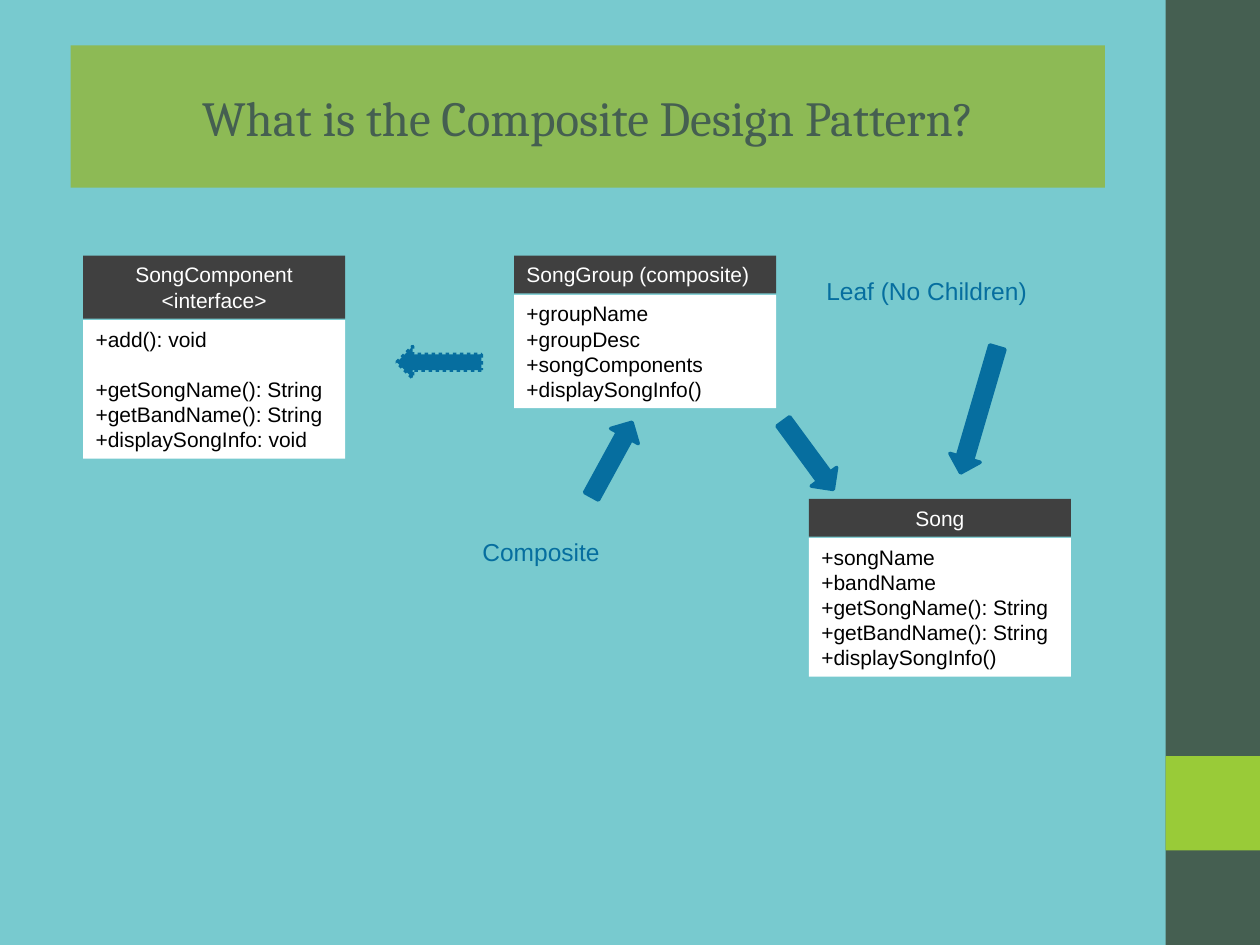
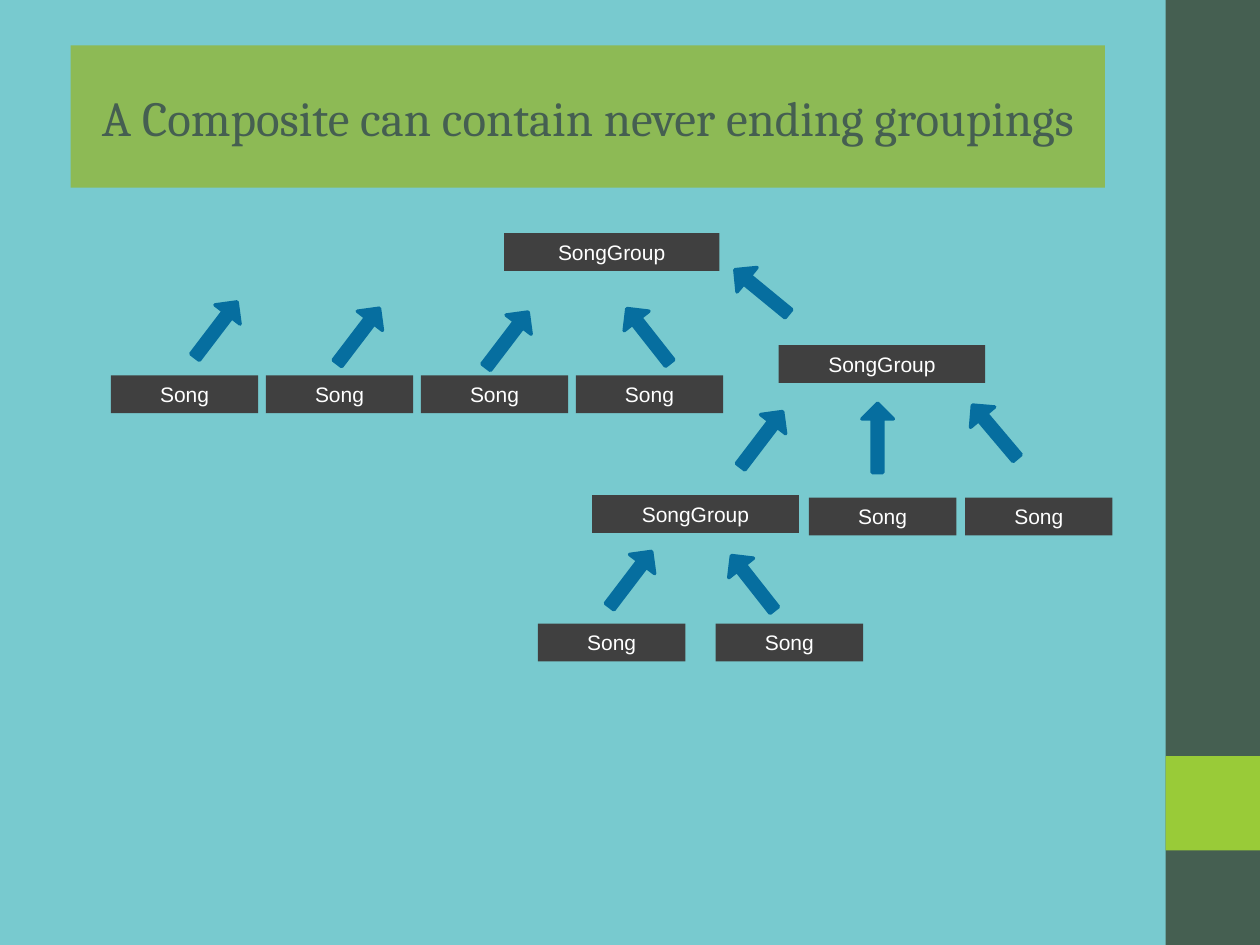
from pptx import Presentation
from pptx.dml.color import RGBColor
from pptx.enum.dml import MSO_LINE
from pptx.enum.shapes import MSO_SHAPE
from pptx.enum.text import MSO_ANCHOR, MSO_AUTO_SIZE, PP_ALIGN
from pptx.util import Inches, Pt

SKY, PINE, LIME, MOSS = "78CACF", "455F51", "99CB38", "8DBA55"
DARK, WHITE, BLACK, BLUE = "404040", "FFFFFF", "000000", "066E9F"
HEAD = 0.3
LINE = 0.2

CLASSES = [
    dict(at=(0.66, 2.03), head=["SongComponent", "<interface>"], gap=1,
         body=["+add(): void", "+getSongName(): String",
               "+getBandName(): String", "+displaySongInfo: void"]),
    dict(at=(4.08, 2.03), head=["SongGroup (composite)"], align=PP_ALIGN.LEFT,
         body=["+groupName", "+groupDesc", "+songComponents",
               "+displaySongInfo()"]),
    dict(at=(6.42, 3.96), head=["Song"],
         body=["+songName", "+bandName", "+getSongName(): String",
               "+getBandName(): String", "+displaySongInfo()"]),
]
LABELS = [("Leaf (No Children)", 6.46, 2.14), ("Composite", 3.73, 4.21)]
LINKS = [(6.08, 3.49, 0.67, 53.7), (7.25, 3.13, 1.04, 106.3),
         (4.52, 3.52, 0.67, 298.7)]

GROUPS = [(4, 1.85, 1.71), (6.18, 2.74, 1.64), (4.7, 3.93, 1.64)]
SONGS = [(0.88, 2.98, 1.23, 4), (6.42, 3.95, 1.24, 2), (4.27, 4.95, 1.41, 2)]
RISE = 307.3
FALL = 231.8
CLIMBS = [(1.44, 2.49, RISE), (2.57, 2.54, RISE), (3.75, 2.57, RISE),
          (4.87, 2.54, FALL), (5.77, 2.19, 219.4), (5.77, 3.36, RISE),
          (6.69, 3.35, 270), (7.62, 3.3, 229.8), (4.73, 4.47, RISE),
          (5.7, 4.5, FALL)]


def tint(code):
    return RGBColor.from_string(code)


def write(shape, lines, size=12, font="Arial", color=WHITE,
          align=PP_ALIGN.CENTER, anchor=MSO_ANCHOR.TOP, lead=1.2, gap=0):
    frame = shape.text_frame
    frame.word_wrap = True
    frame.auto_size = MSO_AUTO_SIZE.NONE
    frame.vertical_anchor = anchor
    for i, line in enumerate(lines):
        par = frame.paragraphs[0] if i == 0 else frame.add_paragraph()
        par.text = line
        par.alignment = align
        if lead:
            par.line_spacing = Pt(size * lead)
        if i + 1 == gap:
            par.space_after = Pt(size * lead)
        par.font.size = Pt(size)
        par.font.name = font
        par.font.color.rgb = tint(color)


def place(slide, kind, x, y, wide, high, fill):
    shape = slide.shapes.add_shape(
        kind, Inches(x), Inches(y), Inches(wide), Inches(high))
    shape.shadow.inherit = False
    shape.fill.solid()
    shape.fill.fore_color.rgb = tint(fill)
    shape.line.fill.background()
    return shape


def block(slide, x, y, wide, high, fill, lines=(), **form):
    shape = place(slide, MSO_SHAPE.RECTANGLE, x, y, wide, high, fill)
    write(shape, lines, **form)


def arrow(slide, x, y, wide, turn, shaft=0.5, dash=None):
    shape = place(slide, MSO_SHAPE.RIGHT_ARROW, x, y, wide, 0.25, BLUE)
    shape.adjustments[0] = shaft
    shape.rotation = turn
    shape.line.color.rgb = tint(BLUE)
    shape.line.width = Pt(2)
    if dash:
        shape.line.dash_style = dash


def label(slide, text, x, y):
    box = slide.shapes.add_textbox(
        Inches(x), Inches(y), Inches(1.87), Inches(0.34))
    write(box, [text], size=14, color=BLUE, align=PP_ALIGN.LEFT)


def card(slide, at, head, body, align=PP_ALIGN.CENTER, gap=0):
    x, y = at
    high = HEAD + LINE * (len(head) - 1)
    rows = len(body) + (1 if gap else 0)
    block(slide, x, y, 2.08, high, DARK, head, align=align)
    block(slide, x, y + high + 0.01, 2.08, 0.1 + LINE * rows, WHITE, body,
          color=BLACK, align=PP_ALIGN.LEFT, gap=gap)


def start(deck, text):
    slide = deck.slides.add_slide(deck.slide_layouts[5])
    block(slide, 9.25, 0, 0.75, 7.5, PINE)
    block(slide, 9.25, 6, 0.75, 0.75, LIME)
    title = slide.shapes.title
    title.left, title.top = Inches(0.56), Inches(0.36)
    title.width, title.height = Inches(8.21), Inches(1.13)
    title.fill.solid()
    title.fill.fore_color.rgb = tint(MOSS)
    write(title, [text], size=28, font="Cambria", color=PINE,
          anchor=MSO_ANCHOR.MIDDLE, lead=None)
    return slide


def main():
    """Build the two slides on the composite pattern."""
    deck = Presentation()
    deck.slide_width, deck.slide_height = Inches(10), Inches(7.5)
    back = deck.slide_master.background.fill
    back.solid()
    back.fore_color.rgb = tint(SKY)

    slide = start(deck, "What is the Composite Design Pattern?")
    for spec in CLASSES:
        card(slide, **spec)
    arrow(slide, 3.15, 2.75, 0.67, 180, dash=MSO_LINE.ROUND_DOT)
    for link in LINKS:
        arrow(slide, *link)
    for note in LABELS:
        label(slide, *note)

    slide = start(deck, "A Composite can contain never ending groupings")
    for x, y, wide in GROUPS:
        block(slide, x, y, wide, HEAD, DARK, ["SongGroup"])
    for x, y, step, count in SONGS:
        for i in range(count):
            block(slide, x + i * step, y, 1.17, HEAD, DARK, ["Song"])
    for x, y, turn in CLIMBS:
        arrow(slide, x, y, 0.55, turn, shaft=0.34)

    deck.save("out.pptx")


if __name__ == "__main__":
    main()
